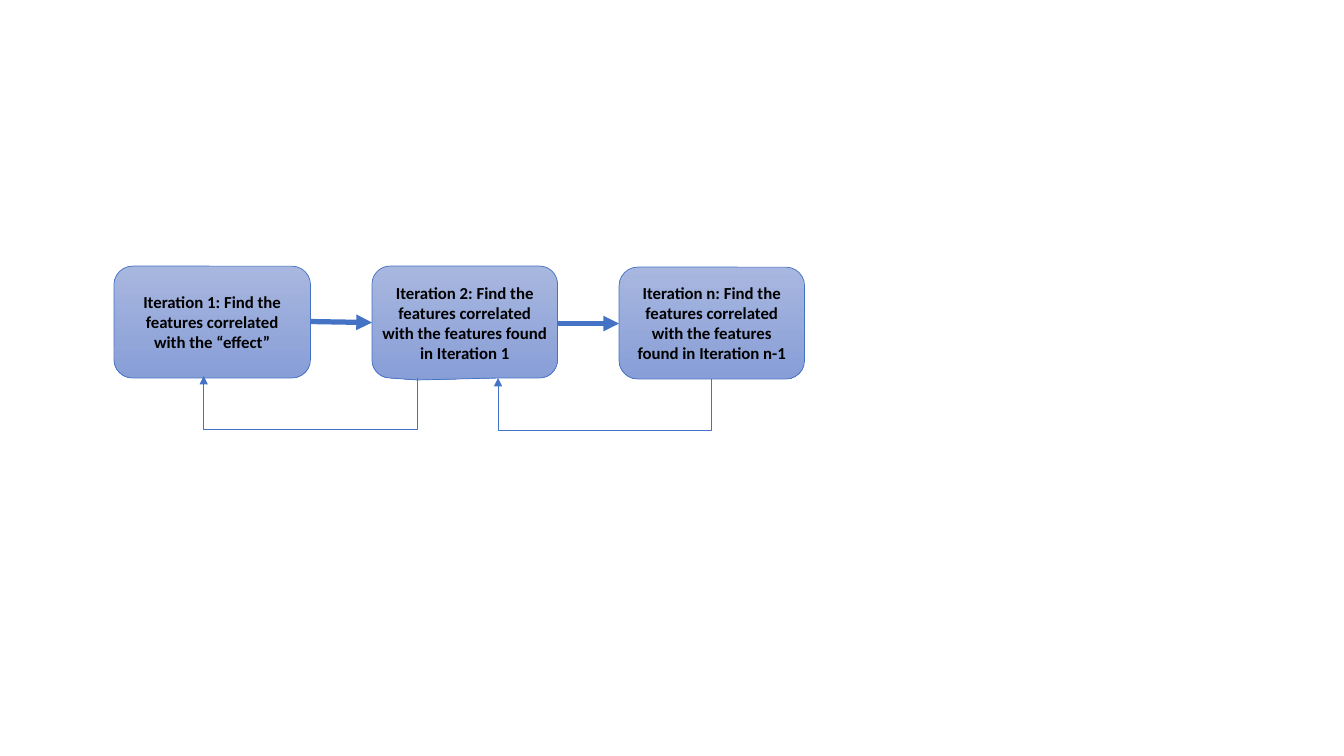
from math import cos, radians, sin

from lxml.etree import SubElement
from pptx import Presentation
from pptx.dml.color import RGBColor
from pptx.enum.shapes import MSO_CONNECTOR as Connector, MSO_SHAPE as Shape
from pptx.enum.text import MSO_ANCHOR as Anchor, PP_ALIGN as Align
from pptx.oxml.ns import qn
from pptx.util import Inches, Pt

COLORS = {"top": "A8B7DF", "bottom": "889ED7", "line": "4472C4", "text": "000000"}
CORNER = 0.18
LOOP_DEPTH = 0.51

# Each step: box (left, top, width, height) and its wording
STEPS = [
    ((1.13, 2.64, 1.95, 1.11),
     "Iteration 1: Find the features correlated with the “effect”"),
    ((3.69, 2.64, 1.84, 1.13),
     "Iteration 2: Find the features correlated with the features found in Iteration 1"),
    ((6.14, 2.65, 1.84, 1.11),
     "Iteration n: Find the features correlated with the features found in Iteration n-1"),
]
# Forward arrows and feedback loops: start point, end point
FORWARD = [((3.08, 3.19), (3.69, 3.2)), ((5.53, 3.21), (6.14, 3.21))]
FEEDBACK = [((7.06, 3.76), (4.94, 3.75)), ((4.14, 3.75), (2.02, 3.73))]


def color(name):
    return RGBColor.from_string(COLORS[name])


def style_line(item, width, arrow=False):
    item.line.color.rgb = color("line")
    item.line.width = Pt(width)
    if arrow:
        outline = item.line._get_or_add_ln()
        SubElement(outline, qn("a:tailEnd"), type="triangle")


def draw_outline(slide, points, close):
    points = [(Inches(x), Inches(y)) for x, y in points]
    builder = slide.shapes.build_freeform(*points[0], scale=1.0)
    builder.add_line_segments(points[1:], close=close)
    outline = builder.convert_to_shape()
    outline.shadow.inherit = False
    return outline


def rounded_box(slide, box):
    step = slide.shapes.add_shape(Shape.ROUNDED_RECTANGLE, *map(Inches, box))
    step.adjustments[0] = 0.1667
    step.shadow.inherit = False
    return step


def sagging_box(slide, box):
    """Rounded box whose bottom edge dips to a shallow point."""
    left, top, width, height = box
    right, base = left + width, top + height - 0.02

    def corner(x, y, start):
        angles = [radians(start + 9 * i) for i in range(11)]
        return [(x + CORNER * cos(a), y + CORNER * sin(a)) for a in angles]

    points = (corner(left + CORNER, top + CORNER, 180)
              + corner(right - CORNER, top + CORNER, 270)
              + corner(right - CORNER, base - CORNER, 0)
              + [(right - 0.6, base), (left + 0.45, top + height)]
              + corner(left + CORNER, base - CORNER, 90))
    return draw_outline(slide, points, True)


def draw_step(slide, box, wording, make_box):
    step = make_box(slide, box)
    step.fill.gradient()
    step.fill.gradient_angle = 270
    for stop, name in zip(step.fill.gradient_stops, ("top", "bottom")):
        stop.color.rgb = color(name)
    for stop, position in zip(step.fill.gradient_stops, (0, 1)):
        stop.position = position
    style_line(step, 0.5)

    frame = step.text_frame
    frame.word_wrap = True
    frame.vertical_anchor = Anchor.MIDDLE
    paragraph = frame.paragraphs[0]
    paragraph.alignment = Align.CENTER
    run = paragraph.add_run()
    run.text = wording
    run.font.name = "Calibri"
    run.font.size = Pt(12)
    run.font.bold = True
    run.font.color.rgb = color("text")


def draw_forward(slide, start, end):
    arrow = slide.shapes.add_connector(
        Connector.STRAIGHT, *map(Inches, start + end))
    style_line(arrow, 3.75, arrow=True)
    SubElement(arrow._element.spPr, qn("a:effectLst"))


def draw_feedback(slide, start, end):
    low = start[1] + LOOP_DEPTH
    loop = draw_outline(slide, [start, (start[0], low), (end[0], low), end], False)
    loop.fill.background()
    style_line(loop, 0.5, arrow=True)


def build_iterations(slide):
    # Steps, the middle one with the sagging base
    for (box, wording), make_box in zip(STEPS, (rounded_box, sagging_box, rounded_box)):
        draw_step(slide, box, wording, make_box)
    # Arrows between the steps
    for start, end in FORWARD:
        draw_forward(slide, start, end)
    # Loops back to the step before
    for start, end in FEEDBACK:
        draw_feedback(slide, start, end)


def main():
    deck = Presentation()
    deck.slide_width, deck.slide_height = Inches(13.33), Inches(7.5)
    build_iterations(deck.slides.add_slide(deck.slide_layouts[6]))
    deck.save("out.pptx")


if __name__ == "__main__":
    main()
